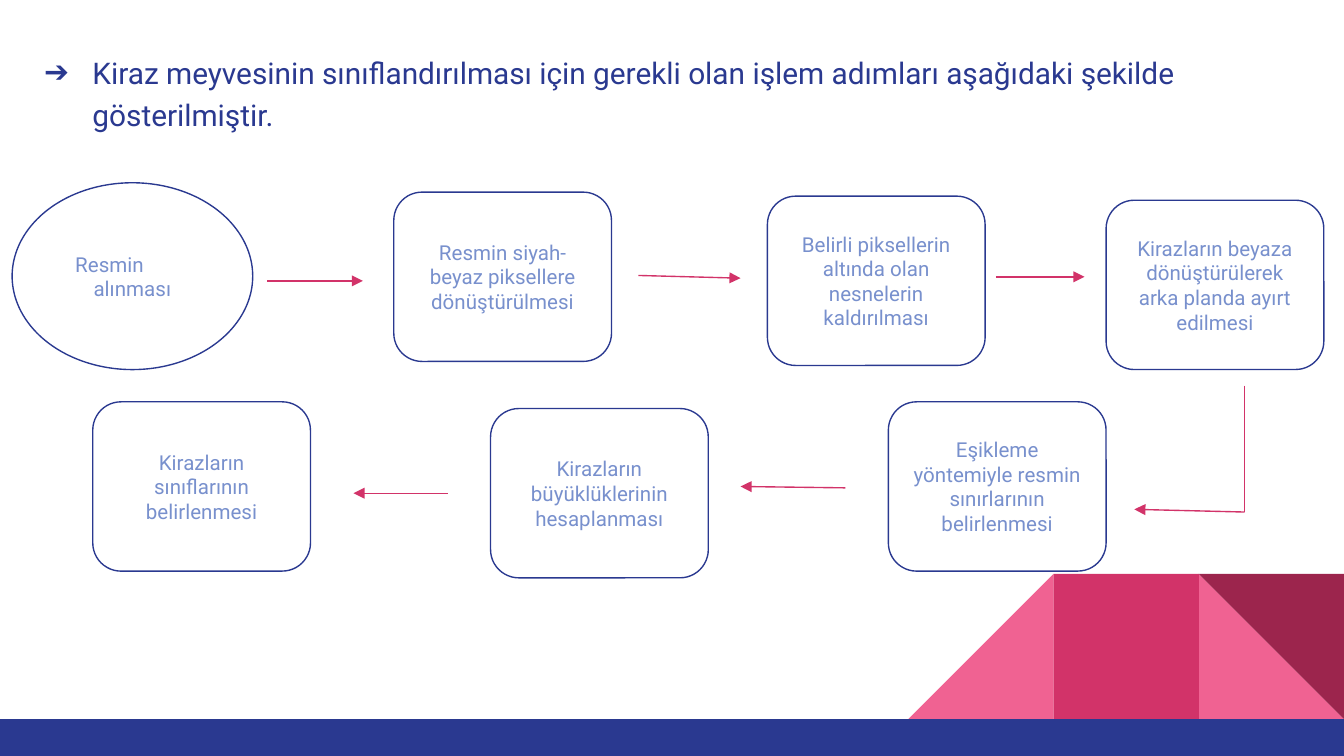
from lxml import etree
from pptx import Presentation
from pptx.dml.color import RGBColor
from pptx.enum.shapes import MSO_CONNECTOR, MSO_SHAPE
from pptx.enum.text import MSO_ANCHOR, PP_ALIGN
from pptx.oxml.ns import qn
from pptx.util import Inches, Pt

STRAIGHT = MSO_CONNECTOR.STRAIGHT
ELLIPSE = MSO_SHAPE.OVAL
ROUNDED = MSO_SHAPE.ROUNDED_RECTANGLE
RECTANGLE = MSO_SHAPE.RECTANGLE
TRIANGLE = MSO_SHAPE.RIGHT_TRIANGLE
CENTER = PP_ALIGN.CENTER
MIDDLE = MSO_ANCHOR.MIDDLE

NAVY, PINK, ROSE, WINE = "2A3990", "D23369", "F06292", "9C254D"
PALE_BLUE, WHITE = "7890CD", "FFFFFF"
FONT = "Roboto"
WIDTH = 10
HEIGHT = WIDTH * 9 / 16

INTRO = ("Kiraz meyvesinin sınıflandırılması için gerekli olan işlem adımları "
         "aşağıdaki şekilde gösterilmiştir.")
START = "Resmin\nalınması"
START_RIGHT_INDENTS = (0.34, 0)
STEPS = [
    ("Resmin siyah-beyaz piksellere dönüştürülmesi", 2.93, 1.43),
    ("Belirli piksellerin altında olan nesnelerin kaldırılması", 5.71, 1.46),
    ("Kirazların beyaza dönüştürülerek arka planda ayırt edilmesi", 8.23, 1.49),
    ("Eşikleme yöntemiyle resmin sınırlarının belirlenmesi", 6.61, 2.99),
    ("Kirazların büyüklüklerinin hesaplanması", 3.65, 3.04),
    ("Kirazların sınıflarının belirlenmesi", 0.69, 2.99),
]
STEP_SIZE = (1.62, 1.26)
LINKS = [
    (1.99, 2.09, 2.7, 2.09, True),
    (4.75, 2.05, 5.51, 2.07, True),
    (7.41, 2.06, 8.07, 2.06, True),
    (9.26, 2.87, 9.26, 3.81, False),
    (9.26, 3.81, 8.44, 3.79, True),
    (6.29, 3.63, 5.51, 3.62, True),
    (3.33, 3.67, 2.63, 3.67, True),
]
TILE = 1.08
FOOTER_TOP = 5.35
DECORATION = [
    (TRIANGLE, 1, ROSE, 0, False),
    (TRIANGLE, 3, ROSE, 0, True),
    (RECTANGLE, 2, PINK, 0, False),
    (TRIANGLE, 1, WINE, 180, False),
]


def color(value):
    return RGBColor.from_string(value)


def add_block(slide, kind, left, top, width, height, fill, outline=None):
    block = slide.shapes.add_shape(
        kind, Inches(left), Inches(top), Inches(width), Inches(height))
    block.shadow.inherit = False
    block.fill.solid()
    block.fill.fore_color.rgb = color(fill)
    if outline:
        block.line.color.rgb = color(outline)
        block.line.width = Pt(0.75)
    else:
        block.line.fill.background()
    return block


def write(frame, text, size, text_color):
    frame.word_wrap = True
    frame.margin_left = frame.margin_right = Inches(0.1)
    frame.margin_top = frame.margin_bottom = Inches(0.1)
    frame.text = text
    for paragraph in frame.paragraphs:
        for run in paragraph.runs:
            run.font.name = FONT
            run.font.size = Pt(size)
            run.font.color.rgb = color(text_color)


def add_step(slide, kind, text, left, top, width, height):
    step = add_block(slide, kind, left, top, width, height, WHITE, NAVY)
    frame = step.text_frame
    write(frame, text, 11, PALE_BLUE)
    frame.vertical_anchor = MIDDLE
    for paragraph in frame.paragraphs:
        paragraph.alignment = CENTER
    return step


def add_link(slide, x1, y1, x2, y2, has_head):
    link = slide.shapes.add_connector(
        STRAIGHT, Inches(x1), Inches(y1), Inches(x2), Inches(y2))
    link.line.color.rgb = color(PINK)
    link.line.width = Pt(0.75)
    properties = link._element.spPr
    if has_head:
        outline = properties.find(qn("a:ln"))
        etree.SubElement(outline, qn("a:tailEnd"), type="triangle", w="med", len="med")
    etree.SubElement(properties, qn("a:effectLst"))


def add_intro(slide):
    intro = slide.shapes.add_textbox(
        Inches(0.09), Inches(0.27), Inches(9.76), Inches(1.09))
    write(intro.text_frame, INTRO, 16, NAVY)
    paragraph = intro.text_frame.paragraphs[0]
    paragraph.line_spacing = 1.15
    properties = paragraph._p.get_or_add_pPr()
    properties.set("marL", str(Inches(0.5)))
    properties.set("indent", str(-Inches(0.36)))
    bullet_color = etree.SubElement(properties, qn("a:buClr"))
    etree.SubElement(bullet_color, qn("a:srgbClr"), val=NAVY)
    etree.SubElement(properties, qn("a:buFont"), typeface=FONT)
    etree.SubElement(properties, qn("a:buChar"), char="➔")


def main():
    deck = Presentation()
    deck.slide_width, deck.slide_height = Inches(WIDTH), Inches(HEIGHT)
    slide = deck.slides.add_slide(deck.slide_layouts[6])

    for kind, tiles_from_right, fill, rotation, mirrored in DECORATION:
        tile = add_block(slide, kind, WIDTH - tiles_from_right * TILE,
                         FOOTER_TOP - TILE, TILE, TILE, fill)
        tile.rotation = rotation
        if mirrored:
            tile._element.spPr.xfrm.set("flipH", "1")
    add_block(slide, RECTANGLE, 0, FOOTER_TOP, WIDTH, HEIGHT - FOOTER_TOP, NAVY)

    add_intro(slide)
    start = add_step(slide, ELLIPSE, START, 0.09, 1.36, 1.79, 1.39)
    for line, indent in zip(start.text_frame.paragraphs, START_RIGHT_INDENTS):
        properties = line._p.get_or_add_pPr()
        properties.set("marL", "0")
        properties.set("marR", str(Inches(indent)))
        properties.set("indent", "0")
    for text, left, top in STEPS:
        step = add_step(slide, ROUNDED, text, left, top, *STEP_SIZE)
        step.adjustments[0] = 0.167
    for link in LINKS:
        add_link(slide, *link)

    deck.save("out.pptx")


if __name__ == "__main__":
    main()
